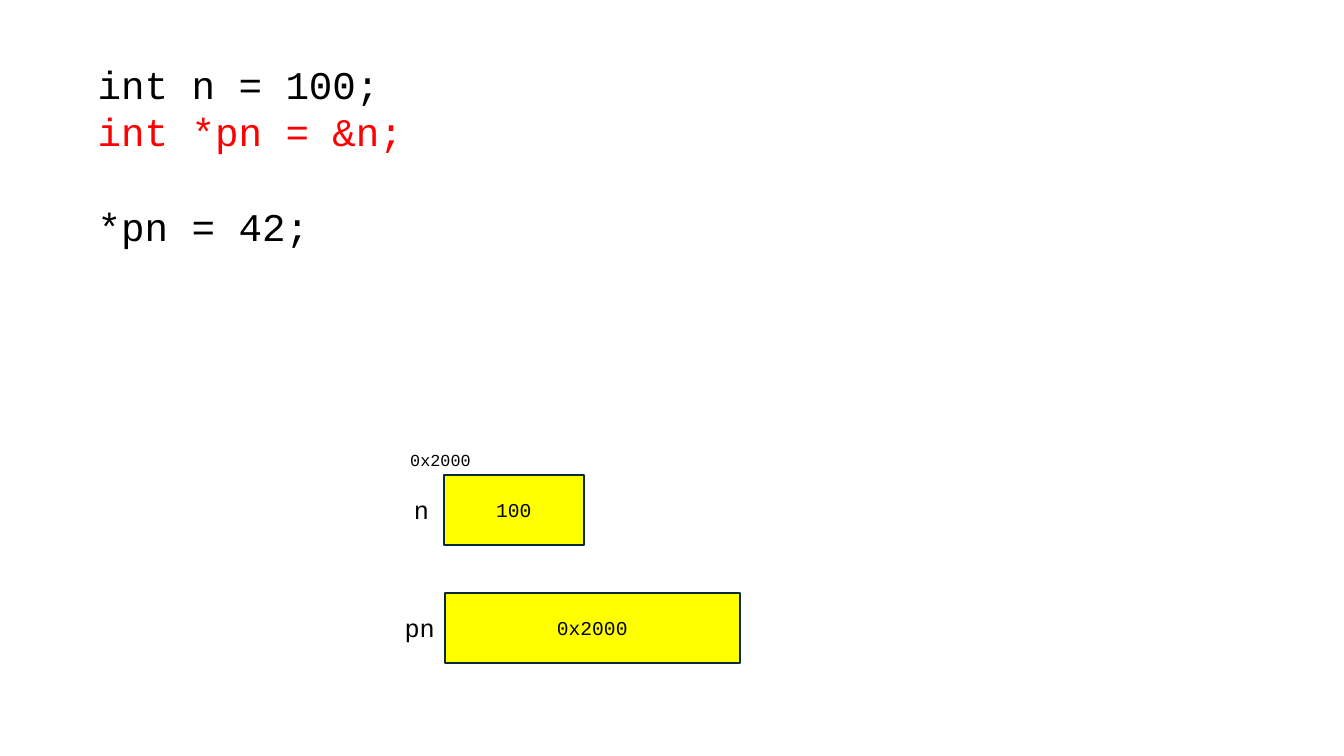
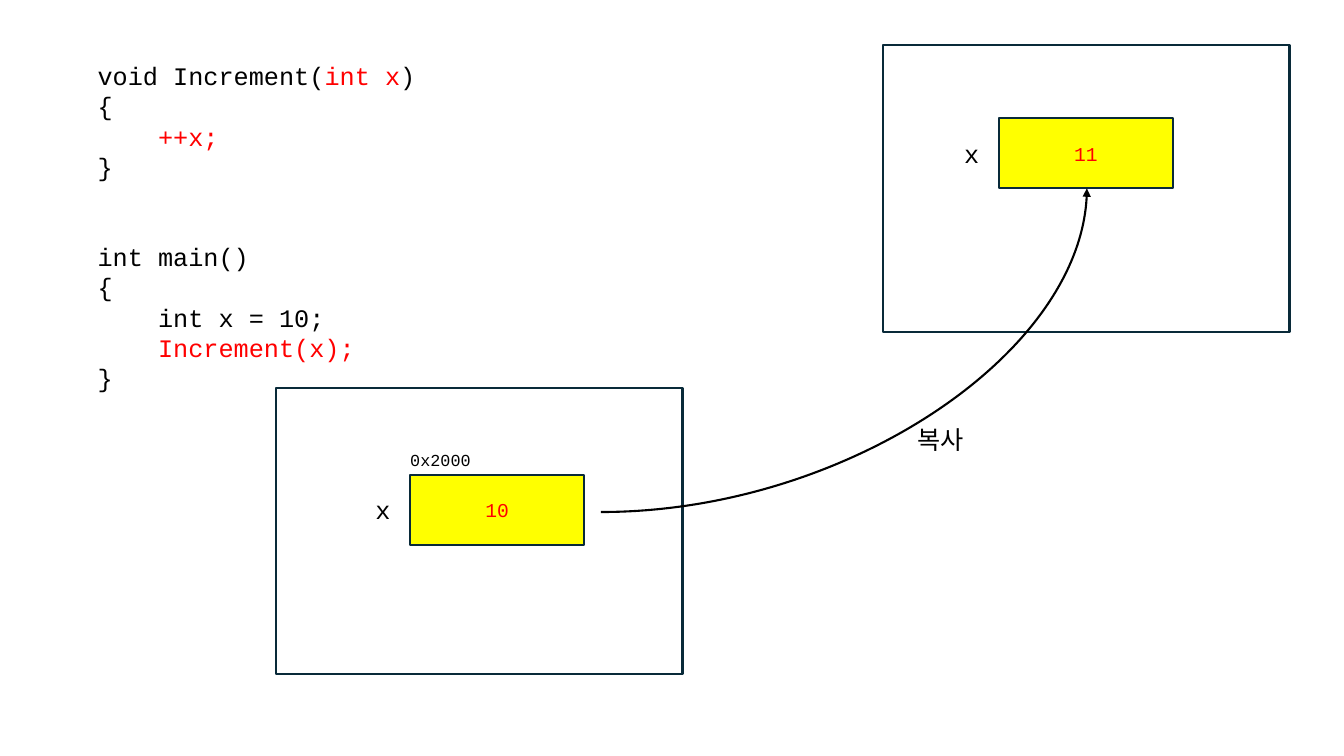
from pptx import Presentation
from pptx.dml.color import RGBColor
from pptx.enum.shapes import MSO_CONNECTOR as Link, MSO_SHAPE as Shape
from pptx.enum.text import MSO_ANCHOR as Anchor, PP_ALIGN as Align
from pptx.oxml.ns import qn
from pptx.util import Inches, Pt
from lxml.etree import SubElement

BLACK = RGBColor(0x00, 0x00, 0x00)
RED = RGBColor(0xFF, 0x00, 0x00)
WHITE = RGBColor(0xFF, 0xFF, 0xFF)
YELLOW = RGBColor(0xFF, 0xFF, 0x00)
NAVY = RGBColor(0x09, 0x2A, 0x39)


class Deck:
    font = "Courier New"
    edge = Pt(1.5)
    pitch = 1.2  # line height as a share of the text size
    high = 0.7   # height of a memory cell

    def __init__(self):
        self.prs = Presentation()
        self.prs.slide_width = Inches(13.33)
        self.prs.slide_height = Inches(7.5)

    def page(self):
        self.slide = self.prs.slides.add_slide(self.prs.slide_layouts[6])

    def run(self, para, text, size, color=BLACK):
        run = para.add_run()
        run.text = text
        run.font.name = self.font
        run.font.size = Pt(size)
        run.font.color.rgb = color

    def text(self, x, y, w, h):
        box = self.slide.shapes.add_textbox(*map(Inches, (x, y, w, h)))
        box.text_frame.word_wrap = True
        return box.text_frame

    def label(self, x, y, w, h, text, size=18, align=Align.LEFT):
        para = self.text(x, y, w, h).paragraphs[0]
        para.alignment = align
        self.run(para, text, size)

    def code(self, height, size, lines):
        """Each line holds the indent in letters, the blank lines above, the runs."""
        frame = self.text(0.87, 0.55, 4.04, height)
        for i, (indent, gap, runs) in enumerate(lines):
            para = frame.add_paragraph() if i else frame.paragraphs[0]
            para.space_before = Pt(round(gap * size * self.pitch))
            if indent:
                props = para._p.get_or_add_pPr()
                props.set("marL", str(Pt(indent * size * 0.6)))
                props.set("indent", "0")
            for text, color in runs:
                self.run(para, text, size, color)

    def rect(self, x, y, w, h, fill):
        box = self.slide.shapes.add_shape(
            Shape.RECTANGLE, *map(Inches, (x, y, w, h)))
        box.shadow.inherit = False
        box.fill.solid()
        box.fill.fore_color.rgb = fill
        box.line.color.rgb = NAVY
        box.line.width = self.edge
        return box

    def frame(self, x, y):
        self.rect(x, y, 4.03, 2.84, WHITE)

    def cell(self, x, y, w, value, color=BLACK):
        frame = self.rect(x, y, w, self.high, YELLOW).text_frame
        frame.vertical_anchor = Anchor.MIDDLE
        para = frame.paragraphs[0]
        para.alignment = Align.CENTER
        self.run(para, value, 14, color)

    def name(self, right, y, text):
        """Variable name that ends at right, beside a cell with its top at y."""
        self.label(right - 1.39, y + 0.15, 1.39, 0.4, text, align=Align.RIGHT)

    def address(self):
        self.label(3.97, 4.41, 1.88, 0.3, "0x2000", 12)

    def arrow(self, x1, y1, x2, y2):
        link = self.slide.shapes.add_connector(
            Link.CURVE, *map(Inches, (x1, y1, x2, y2)))
        link.line.color.rgb = BLACK
        link.line.width = self.edge
        props = link._element.spPr
        props.find(qn("a:prstGeom")).set("prst", "curvedConnector2")
        SubElement(props.find(qn("a:ln")), qn("a:tailEnd"), type="triangle")
        SubElement(props, qn("a:effectLst"))


def pointer(deck):
    deck.page()
    deck.code(1.99, 28, [
        (0, 0, [("int n = 100;", BLACK)]),
        (0, 0, [("int *pn = &n;", RED)]),
        (0, 1, [("*pn = 42;", BLACK)]),
    ])
    # Memory cells
    deck.cell(4.4, 4.71, 1.39, "100")
    deck.label(3.96, 4.86, 0.44, 0.4, "n", align=Align.CENTER)
    deck.address()
    deck.cell(4.41, 5.88, 2.93, "0x2000")
    deck.name(4.41, 5.88, "pn")


def by_value(deck):
    deck.page()
    # Stack frames
    deck.frame(2.74, 3.85)
    deck.frame(8.76, 0.45)
    deck.code(3.43, 18, [
        (0, 0, [("void Increment(", BLACK), ("int x", RED), (")", BLACK)]),
        (0, 0, [("{", BLACK)]),
        (4, 0, [("++x;", RED)]),
        (0, 0, [("}", BLACK)]),
        (0, 2, [("int main()", BLACK)]),
        (0, 0, [("{", BLACK)]),
        (4, 0, [("int x = 10;", BLACK)]),
        (4, 0, [("Increment(x);", RED)]),
        (0, 0, [("}", BLACK)]),
    ])
    # Caller's and callee's variable
    for x, y, value in ((4.07, 4.71, "10"), (9.91, 1.17, "11")):
        deck.cell(x, y, 1.72, value, RED)
        deck.name(x - 0.1, y, "x")
    deck.address()
    # Copy of the argument
    deck.arrow(5.96, 5.08, 10.78, 1.87)
    deck.label(9, 4.16, 0.99, 0.4, "복사")


def main():
    deck = Deck()
    pointer(deck)
    by_value(deck)
    deck.prs.save("out.pptx")


if __name__ == "__main__":
    main()
